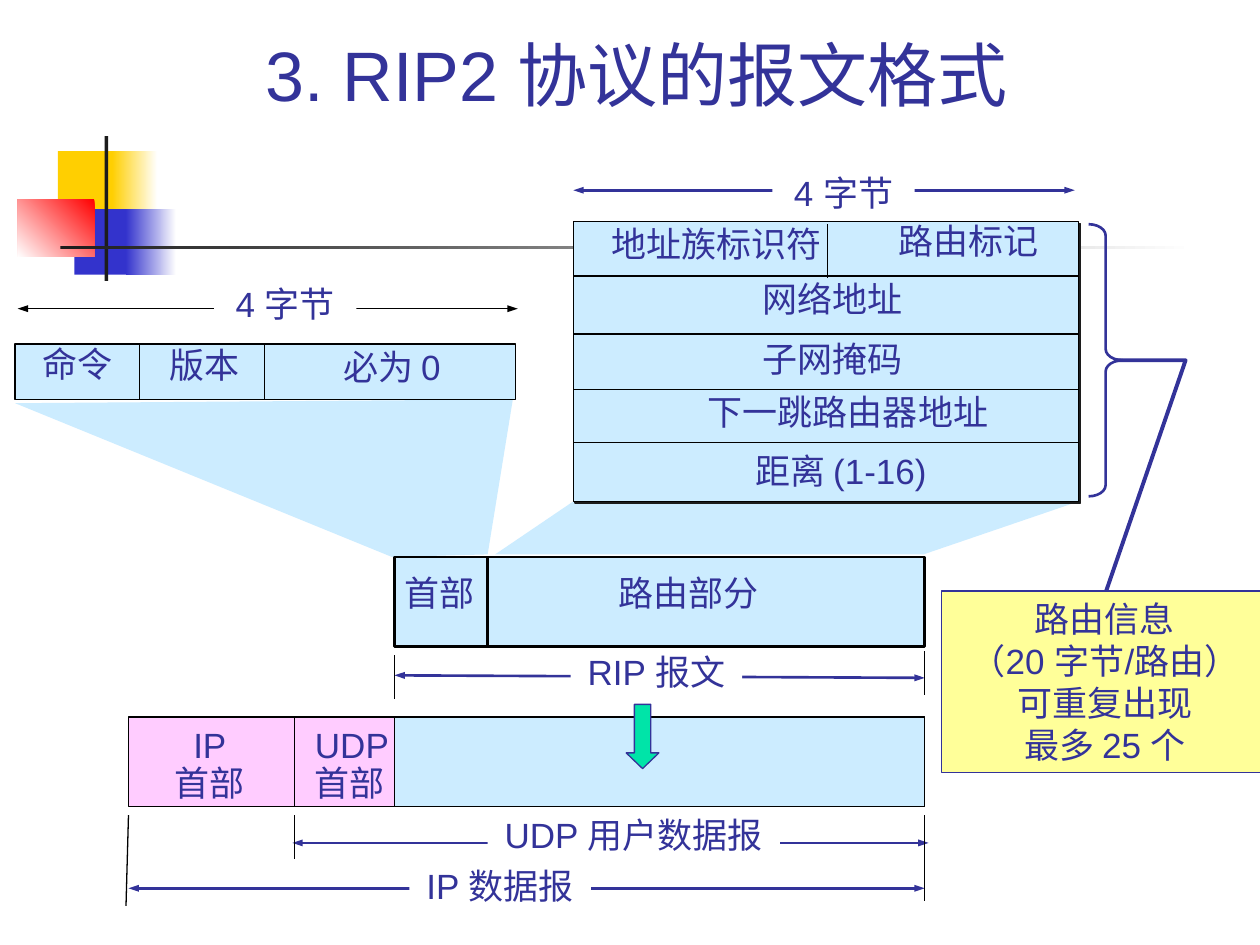
from lxml import etree
from pptx import Presentation
from pptx.dml.color import RGBColor
from pptx.enum.shapes import MSO_CONNECTOR, MSO_SHAPE
from pptx.enum.text import MSO_ANCHOR, MSO_AUTO_SIZE, PP_ALIGN
from pptx.oxml.ns import qn
from pptx.util import Inches, Pt

INDIGO, BLACK, WHITE = "333399", "000000", "FFFFFF"
SKY, PINK, YELLOW, GREEN, CHARCOAL = "CCECFF", "FFCCFF", "FFFF99", "00E4A8", "1C1C1C"
LABEL_HEIGHT = 0.44


def color(value):
    return RGBColor.from_string(value)


def paint(shape, fill=None, line=None, weight=0.75):
    shape.shadow.inherit = False
    if fill:
        shape.fill.solid()
        shape.fill.fore_color.rgb = color(fill)
    else:
        shape.fill.background()
    if line:
        shape.line.color.rgb = color(line)
        shape.line.width = Pt(weight)
    else:
        shape.line.fill.background()


def add_block(slide, left, top, width, height, fill=None, line=None, weight=0.75,
              kind=MSO_SHAPE.RECTANGLE):
    shape = slide.shapes.add_shape(kind, Inches(left), Inches(top), Inches(width), Inches(height))
    paint(shape, fill, line, weight)
    return shape


def add_gradient(slide, left, top, width, height, start, angle=0):
    shape = add_block(slide, left, top, width, height)
    shape.fill.gradient()
    shape.fill.gradient_angle = angle
    for stop, value, position in zip(shape.fill.gradient_stops, (start, WHITE), (0, 1)):
        stop.color.rgb = color(value)
        stop.position = position


def add_outline(slide, points, fill=None, line=None, weight=0.75):
    corners = [(Inches(x), Inches(y)) for x, y in points]
    builder = slide.shapes.build_freeform(*corners[0])
    builder.add_line_segments(corners[1:], close=bool(fill))
    paint(builder.convert_to_shape(), fill, line, weight)


def add_line(slide, x1, y1, x2, y2, line=BLACK, weight=0.75, arrows=False):
    connector = slide.shapes.add_connector(
        MSO_CONNECTOR.STRAIGHT, Inches(x1), Inches(y1), Inches(x2), Inches(y2))
    connector.line.color.rgb = color(line)
    connector.line.width = Pt(weight)
    if arrows:
        for end in ("a:headEnd", "a:tailEnd"):
            etree.SubElement(connector.line._get_or_add_ln(), qn(end),
                             type="triangle", w="sm", len="med")
    etree.SubElement(connector._element.spPr, qn("a:effectLst"))


def write(shape, lines, align=PP_ALIGN.CENTER, spacing=1.0):
    frame = shape.text_frame
    frame.word_wrap = False
    frame.vertical_anchor = MSO_ANCHOR.TOP
    # Narrow side margins keep each line whole
    frame.margin_left = frame.margin_right = Inches(0.05)
    for index, line in enumerate(lines):
        paragraph = frame.add_paragraph() if index else frame.paragraphs[0]
        paragraph.alignment = align
        paragraph.line_spacing = spacing
        run = paragraph.add_run()
        run.text = line
        run.font.name = "Arial"
        run.font.size = Pt(20)
        run.font.color.rgb = color(INDIGO)


def add_label(slide, left, top, width, *lines, height=LABEL_HEIGHT, **style):
    box = slide.shapes.add_textbox(Inches(left), Inches(top), Inches(width), Inches(height))
    write(box, lines, **style)


def add_span(slide, start, end, label_left, label_top, label_width, text,
             line=INDIGO, weight=1.5):
    """Double arrow with a white label that interrupts it."""
    add_line(slide, *start, *end, line, weight, arrows=True)
    label = add_block(slide, label_left, label_top, label_width, LABEL_HEIGHT, WHITE)
    write(label, [text])


def add_title(slide, left, top, width, height):
    title = slide.shapes.title
    title.left, title.top = Inches(left), Inches(top)
    title.width, title.height = Inches(width), Inches(height)
    frame = title.text_frame
    frame.auto_size = MSO_AUTO_SIZE.NONE
    frame.vertical_anchor = MSO_ANCHOR.BOTTOM
    frame.margin_right = Inches(0.22)
    paragraph = frame.paragraphs[0]
    paragraph.alignment = PP_ALIGN.CENTER
    run = paragraph.add_run()
    run.text = "3. RIP2 协议的报文格式"
    run.font.name = "Arial"
    run.font.size = Pt(40)
    run.font.color.rgb = color(INDIGO)


def add_decoration(slide, left, top):
    # Squares that fade to the right
    for x, y, solid, faded, tint in ((0.32, 0.12, 0.48, 0.36, "FFCF01"),
                                     (0.45, 0.58, 0.46, 0.4, "3333CC")):
        add_block(slide, left + x, top + y, solid, 0.52, tint)
        add_gradient(slide, left + x + solid - 0.05, top + y, faded, 0.52, tint)
    add_gradient(slide, left, top + 0.5, 0.61, 0.46, "FF0000", 225)
    # Crossing bars
    add_block(slide, left + 0.69, top, 0.03, 1.15, CHARCOAL)
    add_gradient(slide, left + 0.34, top + 0.87, 9, 0.03, CHARCOAL)


def add_route_entry(slide, left, top, width, height):
    right, bottom = left + width, top + height
    add_span(slide, (left, top - 0.25), (right - 0.03, top - 0.25),
             left + 1.58, top - 0.45, 1.13, "4 字节")
    # Widening towards the message
    add_outline(slide, [(left, bottom), (right, bottom), (7.33, 4.4), (3.93, 4.4)], SKY)
    table = add_block(slide, left, top, width, height, SKY, BLACK)
    shadow = etree.SubElement(table._element.spPr.find(qn("a:effectLst")), qn("a:outerShdw"),
                              blurRad="0", dist=str(Pt(1.4)), dir="2700000", algn="ctr")
    etree.SubElement(shadow, qn("a:srgbClr"), val=CHARCOAL)
    # Field dividers and names
    for offset in (0.43, 0.89, 1.33, 1.75):
        add_line(slide, left, top + offset, right, top + offset)
    add_line(slide, left + 2.02, top + 0.02, left + 2.02, top + 0.45)
    for x, y, label_width, text in ((0.2, -0.04, 1.87, "地址族标识符"),
                                    (2.48, -0.07, 1.31, "路由标记"),
                                    (1.4, 0.39, 1.31, "网络地址"),
                                    (1.4, 0.87, 1.31, "子网掩码"),
                                    (0.97, 1.29, 2.42, "下一跳路由器地址"),
                                    (1.31, 1.76, 1.63, "距离 (1-16)")):
        add_label(slide, left + x, top + y, label_width, text)
    # Brace on the right
    brace = add_block(slide, right + 0.08, top + 0.02, 0.27, height - 0.06, None, INDIGO, 1.5,
                      MSO_SHAPE.RIGHT_BRACE)
    brace.adjustments[0], brace.adjustments[1] = 0.33, 0.5


def add_header_fields(slide, left, top, width, height):
    bottom = top + height
    add_outline(slide, [(left, bottom + 0.03), (left + width - 0.02, bottom),
                        (3.87, 4.4), (3.11, 4.42)], SKY)
    add_block(slide, left, top, width, height, SKY, BLACK)
    for offset in (0.99, 1.98):
        add_line(slide, left + offset, top, left + offset, bottom)
    for x, y, label_width, text in ((0.12, -0.06, 0.75, "命令"),
                                    (1.13, -0.05, 0.75, "版本"),
                                    (2.47, -0.04, 1.04, "必为 0")):
        add_label(slide, left + x, top + y, label_width, text)
    add_span(slide, (left + 0.02, top - 0.28), (left + width + 0.02, top - 0.28),
             left + 1.58, top - 0.54, 1.13, "4 字节", BLACK, 0.75)


def add_rip_message(slide, left, top, width, height):
    right, bottom = left + width, top + height
    add_span(slide, (left, bottom + 0.23), (right, bottom + 0.25),
             left + 1.4, bottom - 0.02, 1.36, "RIP 报文")
    add_block(slide, left, top, width, height, SKY, BLACK, 1.5)
    add_line(slide, left + 0.74, top, left + 0.74, bottom, weight=1.5)
    add_label(slide, left - 0.02, top + 0.07, 0.75, "首部")
    add_label(slide, left + 1.68, top + 0.07, 1.31, "路由部分")
    for x, y in ((left, bottom + 0.07), (right, bottom + 0.04)):
        add_line(slide, x, y, x, y + 0.35)


def add_datagram(slide, left, top, width, height):
    right, bottom = left + width, top + height
    udp, payload = left + 1.32, left + 2.11
    # Packet: IP header, UDP header, payload
    add_block(slide, left, top, width, height, PINK, BLACK)
    add_block(slide, payload, top, right - payload, height, SKY, BLACK)
    add_line(slide, udp, top, udp, bottom)
    add_label(slide, left + 0.27, top + 0.04, 0.75, "IP", "首部", height=0.7, spacing=0.9)
    add_label(slide, udp + 0.11, top + 0.04, 0.76, "UDP", "首部", height=0.7, spacing=0.9,
              align=PP_ALIGN.LEFT)
    arrow = add_block(slide, left + 3.95, top - 0.1, 0.26, 0.51, GREEN, INDIGO,
                      kind=MSO_SHAPE.DOWN_ARROW)
    arrow.adjustments[0], arrow.adjustments[1] = 0.5, 0.48
    # Lengths below the packet
    add_span(slide, (left, bottom + 0.65), (right, bottom + 0.65),
             left + 2.23, bottom + 0.41, 1.44, "IP 数据报")
    add_span(slide, (udp - 0.02, bottom + 0.29), (right + 0.03, bottom + 0.29),
             left + 2.85, bottom + 0.01, 2.32, "UDP 用户数据报")
    for x, lower_x, drop in ((left, left - 0.02, 0.72), (udp, udp, 0.35), (right, right, 0.68)):
        add_line(slide, x, bottom + 0.07, lower_x, bottom + 0.07 + drop)


def add_route_note(slide, left, top, width, height):
    note = add_block(slide, left, top, width, height, YELLOW, INDIGO)
    write(note, ["路由信息", "（20 字节/路由）", "可重复出现", "最多 25 个"])
    # Leader from the brace
    add_outline(slide, [(8.86, 2.86), (9.41, 2.86), (left + 1.31, top)], line=INDIGO, weight=2.25)


def main():
    presentation = Presentation()
    presentation.slide_width, presentation.slide_height = Inches(10), Inches(7.5)
    slide = presentation.slides.add_slide(presentation.slide_layouts[5])
    add_decoration(slide, 0.14, 1.08)
    add_title(slide, 0.67, 0.21, 8.88, 0.76)
    add_route_entry(slide, 4.55, 1.76, 4.01, 2.22)
    add_header_fields(slide, 0.12, 2.73, 3.97, 0.44)
    add_rip_message(slide, 3.13, 4.42, 4.21, 0.71)
    add_datagram(slide, 1.02, 5.69, 6.32, 0.71)
    add_route_note(slide, 7.47, 4.69, 2.6, 1.44)
    presentation.save("out.pptx")


if __name__ == "__main__":
    main()
